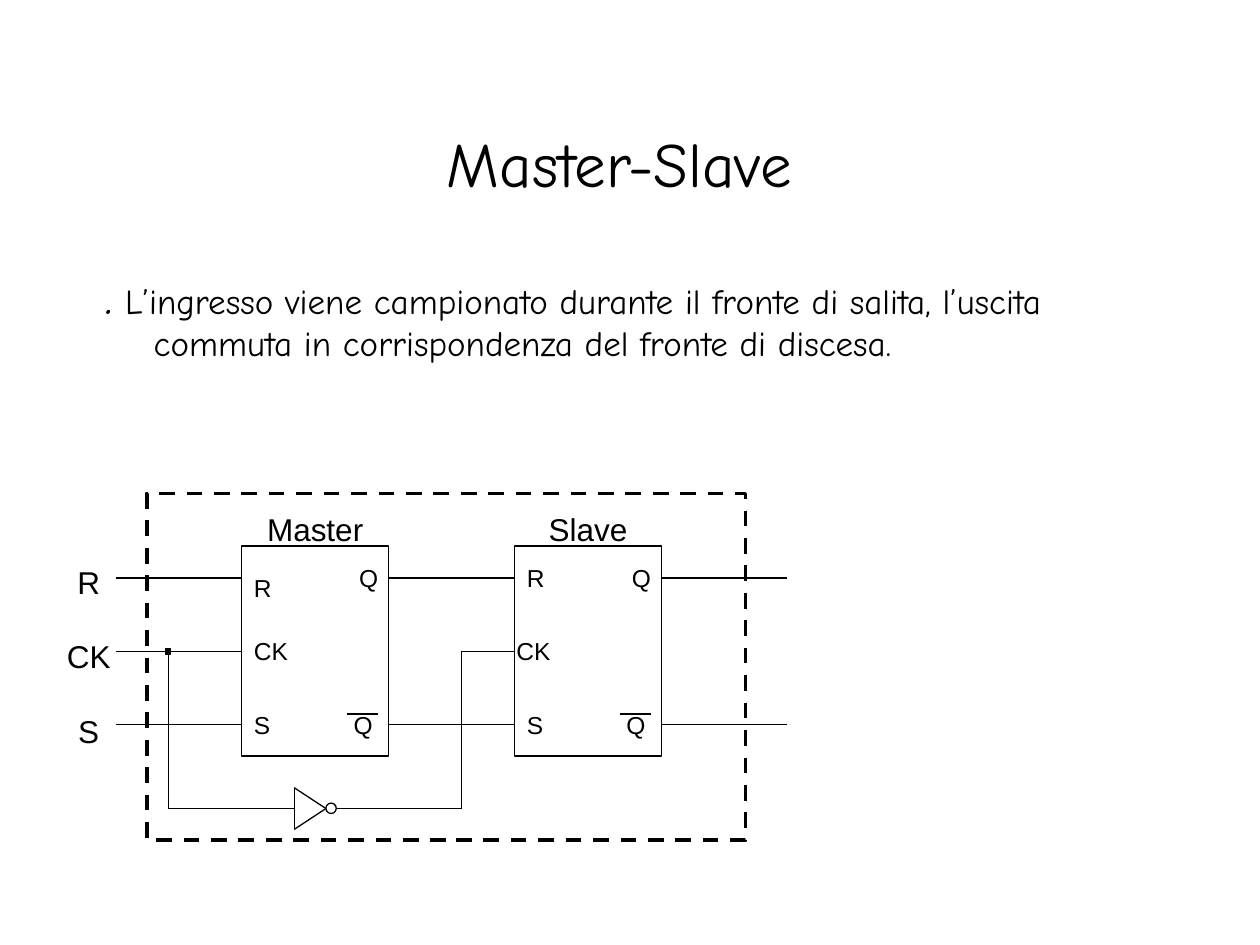
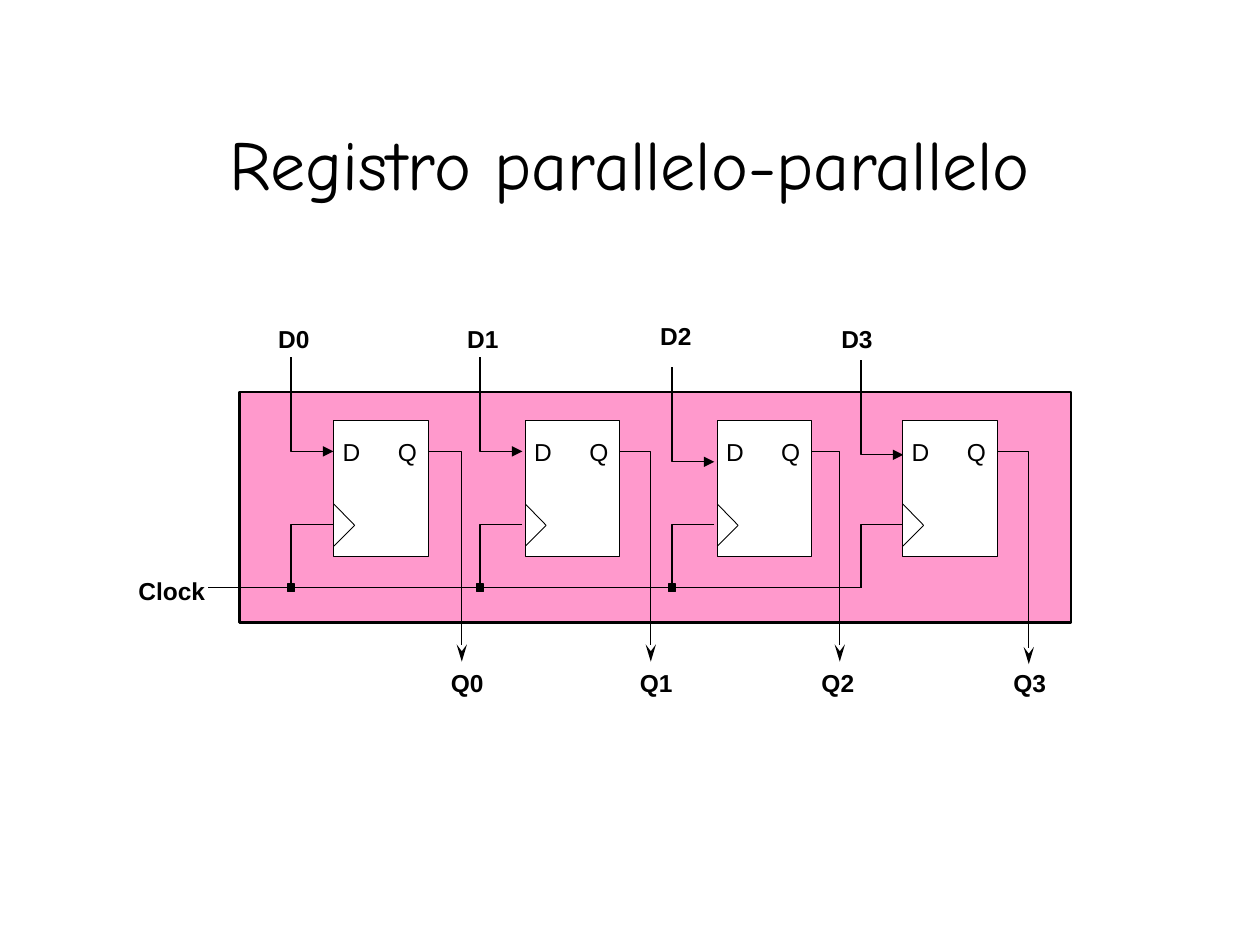
from lxml.etree import SubElement
from pptx import Presentation
from pptx.dml.color import RGBColor
from pptx.enum.dml import MSO_LINE
from pptx.enum.shapes import MSO_CONNECTOR, MSO_SHAPE
from pptx.enum.text import MSO_ANCHOR, MSO_AUTO_SIZE, PP_ALIGN
from pptx.oxml.ns import qn
from pptx.util import Cm, Pt

COLORS = {"ink": "000000", "paper": "FFFFFF", "band": "FF99CC"}
SANS, COMIC = "Arial", "Comic Neue"


def color(name):
    """Return the named palette colour."""
    return RGBColor.from_string(COLORS[name])


def style(run, size, face=SANS, bold=False, italic=False):
    """Set the font of one run."""
    font = run.font
    font.name, font.size, font.bold, font.italic = face, Pt(size), bold, italic
    font.color.rgb = color("ink")


def label(shapes, text, x, y, w, size=14, center=False, wrap=True, bold=False):
    """Add a one-line label whose box fits its text."""
    box = shapes.add_textbox(Cm(x), Cm(y), Cm(w), Cm(0.86 if size == 14 else 1.02))
    frame = box.text_frame
    frame.word_wrap = wrap
    frame.auto_size = MSO_AUTO_SIZE.SHAPE_TO_FIT_TEXT
    frame.text = text
    para = frame.paragraphs[0]
    para.alignment = PP_ALIGN.CENTER if center else PP_ALIGN.LEFT
    style(para.runs[0], size, bold=bold)


def stroke(shape, weight):
    """Give a shape or line a solid dark stroke."""
    shape.line.color.rgb = color("ink")
    shape.line.width = Pt(weight)


def solid(shapes, kind, x, y, w, h, fill=None, weight=0.75):
    """Add a preset shape with an optional fill."""
    shape = shapes.add_shape(kind, Cm(x), Cm(y), Cm(w), Cm(h))
    shape.shadow.inherit = False
    if fill:
        shape.fill.solid()
        shape.fill.fore_color.rgb = color(fill)
    else:
        shape.fill.background()
    stroke(shape, weight)
    return shape


def wire(shapes, x1, y1, x2, y2, weight=0.75):
    """Add a straight wire."""
    line = shapes.add_connector(MSO_CONNECTOR.STRAIGHT, Cm(x1), Cm(y1), Cm(x2), Cm(y2))
    stroke(line, weight)
    SubElement(line._element.spPr, qn("a:effectLst"))


def bend(shapes, points, end=None, kind="triangle", length="med"):
    """Add a bent wire, with an arrowhead at the named end."""
    first, *rest = [(Cm(x), Cm(y)) for x, y in points]
    pen = shapes.build_freeform(*first, scale=1.0)
    pen.add_line_segments(rest, close=False)
    shape = pen.convert_to_shape()
    shape.shadow.inherit = False
    shape.fill.background()
    stroke(shape, 0.75)
    if end:
        SubElement(shape.line._get_or_add_ln(), qn(f"a:{end}"), type=kind, w="med", len=length)


def dot(shapes, x, y, side):
    """Mark a junction centred on a point."""
    solid(shapes, MSO_SHAPE.RECTANGLE, x - side / 2, y - side / 2, side, side, "ink")


def title(shapes, text, size):
    """Add the centred slide title."""
    box = shapes.add_textbox(Cm(1.9), Cm(1.69), Cm(21.59), Cm(3.18))
    frame = box.text_frame
    frame.word_wrap = True
    frame.vertical_anchor = MSO_ANCHOR.MIDDLE
    frame.text = text
    frame.paragraphs[0].alignment = PP_ALIGN.CENTER
    style(frame.paragraphs[0].runs[0], size, COMIC)


def body(shapes, mark, text):
    """Add the hanging paragraph under the title."""
    box = shapes.add_textbox(Cm(1.9), Cm(5.5), Cm(21.59), Cm(3.18))
    frame = box.text_frame
    frame.word_wrap = True
    frame.text = mark
    para = frame.paragraphs[0]
    props = para._p.get_or_add_pPr()
    props.set("marL", str(Cm(0.95)))
    props.set("indent", str(-Cm(0.95)))
    style(para.runs[0], 20, COMIC, True, True)
    run = para.add_run()
    run.text = text
    style(run, 20, COMIC)


def latch(shapes, name, x, y, shift=0, drop=0):
    """Draw an RS latch; shift moves CK sideways and drop lowers R."""
    solid(shapes, MSO_SHAPE.RECTANGLE, x, y, 2.97, 4.23, "paper")
    label(shapes, name, x, y - 0.85, 2.97, 18, center=True)
    label(shapes, "R", x, y + 0.21 + drop, 1.06)
    label(shapes, "CK", x + shift, y + 1.69, 1.48)
    label(shapes, "S", x, y + 3.17, 1.06)
    label(shapes, "Q", x + 2.12, y + 0.21, 1.06)
    label(shapes, "Q", x + 2.01, y + 3.17, 1.06)
    wire(shapes, x + 2.12, y + 3.39, x + 2.76, y + 3.39, 1)


def negate(shapes, x, y):
    """Draw an inverter whose input is at the given point."""
    group = shapes.add_group_shape().shapes
    wire(group, x, y - 0.42, x, y + 0.42)
    for side in (-0.42, 0.42):
        wire(group, x, y + side, x + 0.64, y)
    solid(group, MSO_SHAPE.OVAL, x + 0.64, y - 0.11, 0.21, 0.21)


def paired(shapes, x, y):
    """Draw the master-slave circuit in a frame at the given corner."""
    left, right, top = x + 1.91, x + 7.41, y + 1.06
    rows = [top + 0.64 + 1.48 * i for i in range(3)]
    latch(shapes, "Master", left, top, drop=0.21)
    latch(shapes, "Slave", right, top, shift=-0.21)
    for text, row, gap in zip(("R", "CK", "S"), rows, (0.42, 0.42, 0.38)):
        wire(shapes, left - 2.54, row, left, row)
        label(shapes, text, x - 2.12, row - gap, 1.9, 18, center=True)
    for row in rows[::2]:
        for start in (left, right):
            wire(shapes, start + 2.97, row, start + 5.5, row)
    mid, low, tap, turn = rows[1], y + 6.35, x + 0.43, x + 6.35
    wire(shapes, turn, mid, right, mid)
    wire(shapes, tap, mid, tap, low)
    wire(shapes, tap, low, tap + 2.54, low)
    negate(shapes, tap + 2.54, low)
    wire(shapes, tap + 3.39, low, turn, low)
    wire(shapes, turn, mid, turn, low)
    dot(shapes, tap, mid, 0.11)
    frame = solid(shapes, MSO_SHAPE.RECTANGLE, x, y, 12.07, 6.99, weight=2.25)
    frame.line.dash_style = MSO_LINE.DASH


def flip(shapes, x, y):
    """Draw a D flip-flop with its clock notch."""
    group = shapes.add_group_shape().shapes
    solid(group, MSO_SHAPE.RECTANGLE, x, y, 1.9, 2.75, "paper", 0.5)
    label(group, "D", x - 0.07, y + 0.22, 1.06)
    label(group, "Q", x + 1.04, y + 0.22, 1.06)
    for edge in (1.69, 2.54):
        wire(group, x, y + edge, x + 0.42, y + 2.12, 0.5)


def bank(shapes, x, y):
    """Draw the four-bit register in a band at the given corner."""
    solid(shapes, MSO_SHAPE.RECTANGLE, x, y, 16.76, 4.65, "band", 1.5)
    clock = y + 3.95
    wire(shapes, x + 12.53, clock, x - 0.64, clock)
    label(shapes, "Clock", x - 2.29, y + 3.58, 1.85, wrap=False, bold=True)
    lanes = [
        (1.9, 1.04, 0, 0.51, -1.5, 0.47, 0),
        (5.76, 4.85, 0, 0.51, -1.5, 0.47, 0),
        (9.63, 8.72, 0.21, 0.49, -1.55, 0.62, 0),
        (13.37, 12.53, 0.07, 0.65, -1.5, 0.56, 0.05),
    ]
    for i, (cell, tap, drop, back, rise, pull, tail) in enumerate(lanes):
        cell, tap, out = x + cell, x + tap, x + 4.48 + 3.81 * i
        entry = y + 1.2 + drop
        bend(shapes, [(tap + 0.85, entry), (tap, entry), (tap, entry - 1.91)], "headEnd")
        bend(shapes, [(tap + 0.85, y + 2.68), (tap, y + 2.68), (tap, clock)])
        bend(shapes, [(cell + 1.9, y + 1.2), (out, y + 1.2), (out, y + 5.44 + tail)],
             "tailEnd", "stealth", "lg")
        if i < 3:
            dot(shapes, tap, clock, 0.15)
        flip(shapes, cell, y + 0.57)
        label(shapes, f"D{i}", tap - back, y + rise, 1.14, wrap=False, bold=True)
        label(shapes, f"Q{i}", out - pull, y + 5.44, 1.17, wrap=False, bold=True)


def main():
    """Build both slides and save them."""
    deck = Presentation()
    deck.slide_width, deck.slide_height = Cm(25.4), Cm(19.05)
    blank = deck.slide_layouts[6]
    shapes = deck.slides.add_slide(blank).shapes
    title(shapes, "Master-Slave ", 36)
    body(shapes, ". ", "L’ingresso viene campionato durante il fronte di salita, "
         "l’uscita commuta in corrispondenza del fronte di discesa.")
    paired(shapes, 2.96, 9.95)
    shapes = deck.slides.add_slide(blank).shapes
    title(shapes, "Registro parallelo-parallelo", 40)
    bank(shapes, 4.83, 7.9)
    deck.save("out.pptx")


if __name__ == "__main__":
    main()
